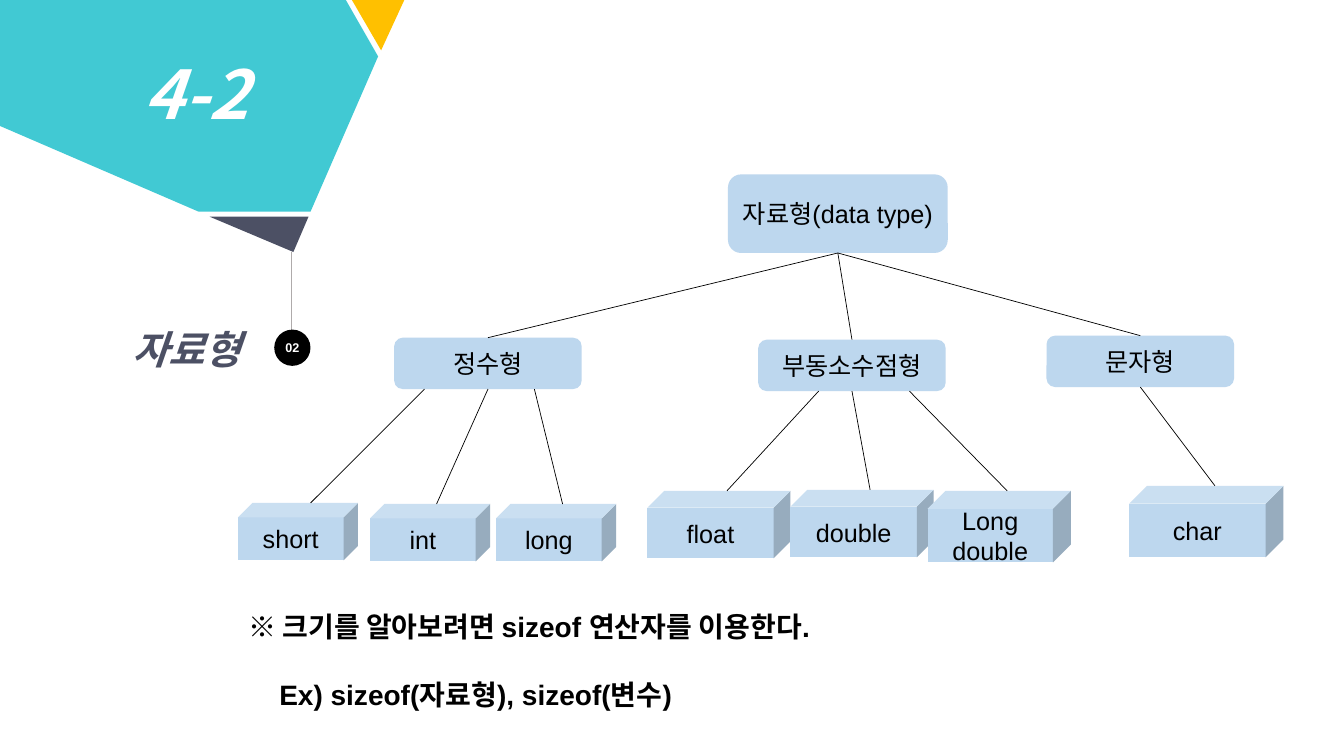
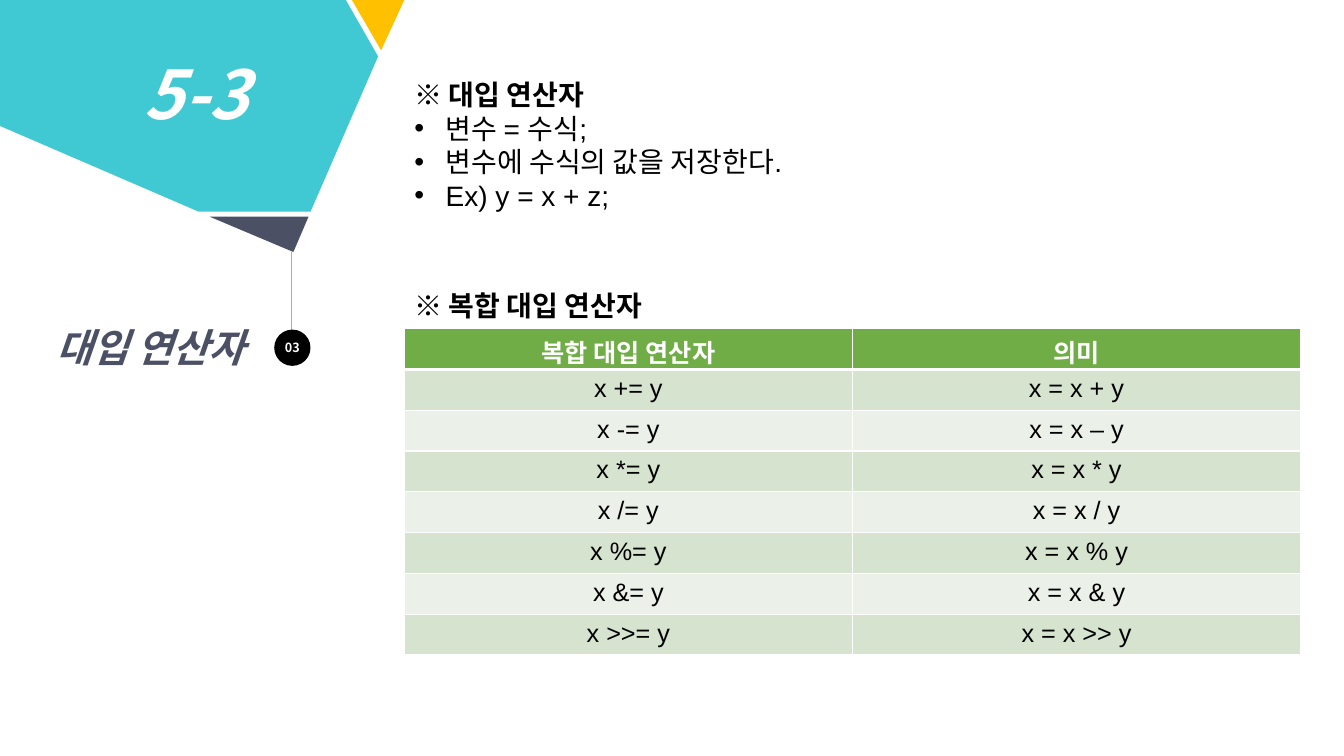
from dataclasses import dataclass
from typing import Any, NamedTuple

from lxml import etree
from pptx import Presentation
from pptx.dml.color import RGBColor
from pptx.enum.shapes import MSO_CONNECTOR, MSO_SHAPE
from pptx.enum.text import MSO_ANCHOR, MSO_AUTO_SIZE, PP_ALIGN
from pptx.oxml.ns import qn
from pptx.util import Pt

LINE = MSO_CONNECTOR.STRAIGHT
OVAL, CUBE, ROUND = MSO_SHAPE.OVAL, MSO_SHAPE.CUBE, MSO_SHAPE.ROUNDED_RECTANGLE
LEFT, MID, RIGHT = PP_ALIGN.LEFT, PP_ALIGN.CENTER, PP_ALIGN.RIGHT
TOP, CORE = MSO_ANCHOR.TOP, MSO_ANCHOR.MIDDLE
GROW, FIXED = MSO_AUTO_SIZE.SHAPE_TO_FIT_TEXT, MSO_AUTO_SIZE.NONE

PX = 9144
SANS, HANGUL = "Arial", "Noto Sans CJK KR"
HUES = {
    "teal": "41C9D3", "gold": "FFC000", "slate": "4C5064", "gray": "AFABAB",
    "black": "000000", "white": "FFFFFF", "blue": "BDD7EE",
    "green": "70AD47", "mint": "D5E3CF", "pale": "EBF1E9",
}
FLAGS = {
    "gold": [(349, 0), (401, 0), (378, 50)],
    "teal": [(0, 0), (343, 0), (375, 56), (308, 210), (197, 210), (0, 125)],
    "slate": [(208, 215), (306, 215), (291, 250)],
}


class Box(NamedTuple):
    x: int
    y: int
    w: int
    h: int


class Style(NamedTuple):
    size: int
    hue: str = "black"
    bold: bool = False
    tilt: bool = False
    face: str = SANS


@dataclass
class Page:
    code: str
    title: str
    place: Box
    mark: str
    face: str


@dataclass
class Leaf:
    text: str
    box: Box
    foot: int = 0
    tip: int = 0


@dataclass
class Branch:
    text: str
    box: Box
    kids: list[Leaf]


NODE, HEAD, PLAIN = Style(18), Style(20, bold=True), Style(20)
NAME = Style(28, "slate", True, True, HANGUL)
CODE = Style(48, "white", True, True, HANGUL)

PAGES = [
    Page("4-2", "자료형", Box(8, 318, 241, 57), "02", SANS),
    Page("5-3", "대입 연산자", Box(12, 316, 241, 57), "03", HANGUL),
]
ROOT = Leaf("자료형(data type)", Box(722, 173, 218, 78))
TREE = [
    Branch("정수형", Box(391, 335, 186, 51), [
        Leaf("short", Box(236, 499, 119, 57), -63, 6),
        Leaf("int", Box(367, 500, 119, 57)),
        Leaf("long", Box(492, 500, 119, 57), 46),
    ]),
    Branch("부동소수점형", Box(752, 337, 186, 51), [
        Leaf("float", Box(642, 487, 142, 67), -33),
        Leaf("double", Box(784, 486, 142, 67)),
        Leaf("Long double", Box(920, 487, 142, 71), 57),
    ]),
    Branch("문자형", Box(1038, 333, 186, 51), [
        Leaf("char", Box(1120, 482, 153, 71)),
    ]),
]
NOTE = "※ 크기를 알아보려면 sizeof 연산자를 이용한다.\nEx) sizeof(자료형), sizeof(변수)"
LIST = "※ 대입 연산자\n변수 = 수식;\n변수에 수식의 값을 저장한다.\nEx) y = x + z;"
ROWS = [
    ("복합 대입 연산자", "의미"),
    ("x += y", "x = x + y"),
    ("x -= y", "x = x – y"),
    ("x *= y", "x = x * y"),
    ("x /= y", "x = x / y"),
    ("x %= y", "x = x % y"),
    ("x &= y", "x = x & y"),
    ("x >>= y", "x = x >> y"),
]


def rgb(hue: str) -> RGBColor:
    return RGBColor.from_string(HUES[hue])


def scale(box: Box) -> list[int]:
    return [side * PX for side in box]


def ink(para: Any, style: Style, align: Any = LEFT) -> None:
    para.alignment = align
    para.space_before = Pt(0)
    for run in para.runs:
        font = run.font
        font.size, font.name = Pt(style.size), style.face
        font.bold, font.italic = style.bold, style.tilt
        font.color.rgb = rgb(style.hue)
        east = etree.SubElement(run._r.get_or_add_rPr(), qn("a:ea"))
        east.set("typeface", HANGUL)


def write(frame: Any, text: str, style: Style, align: Any = LEFT) -> None:
    frame.text = text
    for para in frame.paragraphs:
        ink(para, style, align)


def bullet(para: Any, sign: str = "", pad: int = 0, hang: int = 0) -> None:
    props = para._p.get_or_add_pPr()
    props.set("marL", str(pad * PX))
    props.set("indent", str(-hang * PX))
    if sign:
        etree.SubElement(props, qn("a:buFont")).set("typeface", SANS)
        etree.SubElement(props, qn("a:buChar")).set("char", sign)
    else:
        etree.SubElement(props, qn("a:buNone"))


def seat(shape: Any, box: Box) -> Any:
    shape.left, shape.top, shape.width, shape.height = scale(box)
    frame = shape.text_frame
    frame.word_wrap, frame.auto_size = True, FIXED
    frame.vertical_anchor = TOP
    return frame


def paint(shape: Any, hue: str) -> None:
    shape.shadow.inherit = False
    shape.fill.solid()
    shape.fill.fore_color.rgb = rgb(hue)
    shape.line.fill.background()


def block(slide: Any, kind: Any, box: Box, hue: str, text: str, style: Style) -> Any:
    shape = slide.shapes.add_shape(kind, *scale(box))
    paint(shape, hue)
    frame = shape.text_frame
    frame.word_wrap, frame.vertical_anchor = True, CORE
    write(frame, text, style, MID)
    return frame


def label(slide: Any, box: Box, text: str, style: Style) -> None:
    frame = slide.shapes.add_textbox(*scale(box)).text_frame
    frame.word_wrap, frame.auto_size = False, GROW
    write(frame, text, style)


def link(slide: Any, start: tuple[int, int], end: tuple[int, int], hue: str = "black") -> None:
    ends = [side * PX for side in start + end]
    line = slide.shapes.add_connector(LINE, *ends)
    line.line.width = Pt(0.5)
    line.line.color.rgb = rgb(hue)
    etree.SubElement(line._element.spPr, qn("a:effectLst"))


def base(deck: Any, page: Page) -> Any:
    slide = deck.slides.add_slide(deck.slide_layouts[1])
    write(seat(slide.shapes.title, page.place), page.title, NAME, RIGHT)
    link(slide, (289, 250), (289, 363), "gray")
    for hue, dots in FLAGS.items():
        pen = slide.shapes.build_freeform(*dots[0], scale=PX)
        pen.add_line_segments(dots[1:], close=True)
        paint(pen.convert_to_shape(), hue)
    mark = Style(9, "white", True, face=page.face)
    frame = block(slide, OVAL, Box(272, 327, 36, 36), "black", page.mark, mark)
    frame.margin_left = frame.margin_right = 0
    frame.margin_top = frame.margin_bottom = 0
    label(slide, Box(133, 47, 126, 91), page.code, CODE)
    return slide


def base_mid(box: Box) -> tuple[int, int]:
    return box.x + box.w // 2, box.y + box.h


def types(deck: Any, page: Page) -> None:
    slide = base(deck, page)
    block(slide, ROUND, ROOT.box, "blue", ROOT.text, NODE)
    for branch in TREE:
        box = branch.box
        mid, low = base_mid(box)
        block(slide, ROUND, box, "blue", branch.text, NODE)
        link(slide, base_mid(ROOT.box), (mid, box.y))
        for leaf in branch.kids:
            cube = leaf.box
            block(slide, CUBE, cube, "blue", leaf.text, NODE)
            peak = cube.x + (cube.w + cube.h // 4) // 2 + leaf.tip
            link(slide, (peak, cube.y), (mid + leaf.foot, low))
    frame = seat(slide.placeholders[1], Box(236, 600, 625, 111))
    frame.text = NOTE
    for para, pad in zip(frame.paragraphs, (0, 31)):
        bullet(para, pad=pad)
        ink(para, HEAD)
    frame.paragraphs[1].space_before = Pt(24)


def edge(cell: Any, foot: int) -> None:
    props = cell._tc.get_or_add_tcPr()
    for spot, side in enumerate("LRTB"):
        line = etree.Element(qn(f"a:ln{side}"))
        line.set("w", str(Pt(foot if side == "B" else 1)))
        fill = etree.SubElement(line, qn("a:solidFill"))
        etree.SubElement(fill, qn("a:srgbClr")).set("val", HUES["white"])
        props.insert(spot, line)


def grid(slide: Any, box: Box) -> None:
    table = slide.shapes.add_table(len(ROWS), len(ROWS[0]), *scale(box)).table
    table.first_row = table.horz_banding = False
    for i, row in enumerate(ROWS):
        hue = "green" if i == 0 else ("pale", "mint")[i % 2]
        style = Style(18, "white", True) if i == 0 else NODE
        for j, text in enumerate(row):
            cell = table.cell(i, j)
            cell.fill.solid()
            cell.fill.fore_color.rgb = rgb(hue)
            edge(cell, 3 if i == 0 else 1)
            if i == 1:
                cell._tc.tcPr.find(qn("a:lnT")).set("w", str(Pt(3)))
            write(cell.text_frame, text, style, MID)


def assign(deck: Any, page: Page) -> None:
    slide = base(deck, page)
    frame = seat(slide.placeholders[1], Box(401, 72, 424, 145))
    frame.text = LIST
    for i, para in enumerate(frame.paragraphs):
        if i:
            bullet(para, "•", 31, 31)
        else:
            bullet(para)
        ink(para, PLAIN if i else HEAD)
    grid(slide, Box(401, 326, 889, 324))
    label(slide, Box(401, 281, 268, 44), "※ 복합 대입 연산자", HEAD)


def main() -> None:
    deck = Presentation()
    deck.slide_width, deck.slide_height = 1333 * PX, 750 * PX
    for draw, page in zip((types, assign), PAGES):
        draw(deck, page)
    deck.save("out.pptx")


if __name__ == "__main__":
    main()
